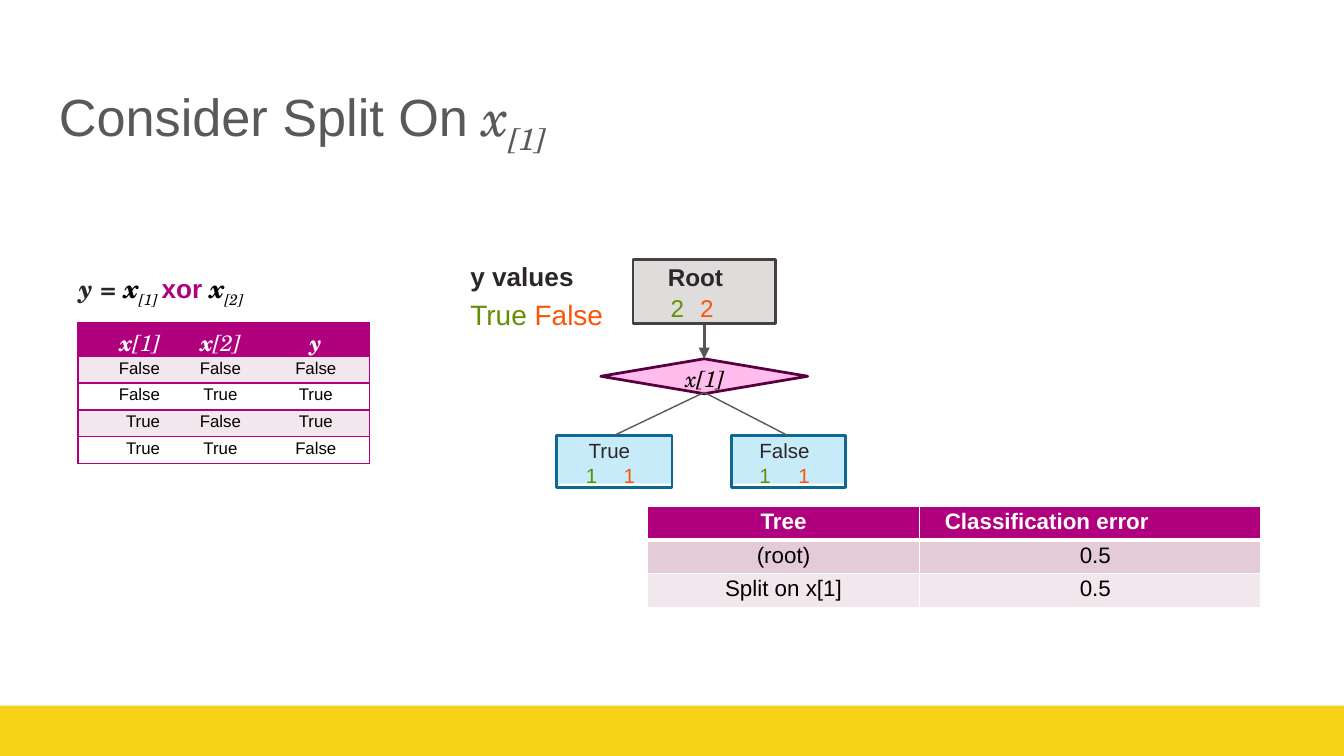
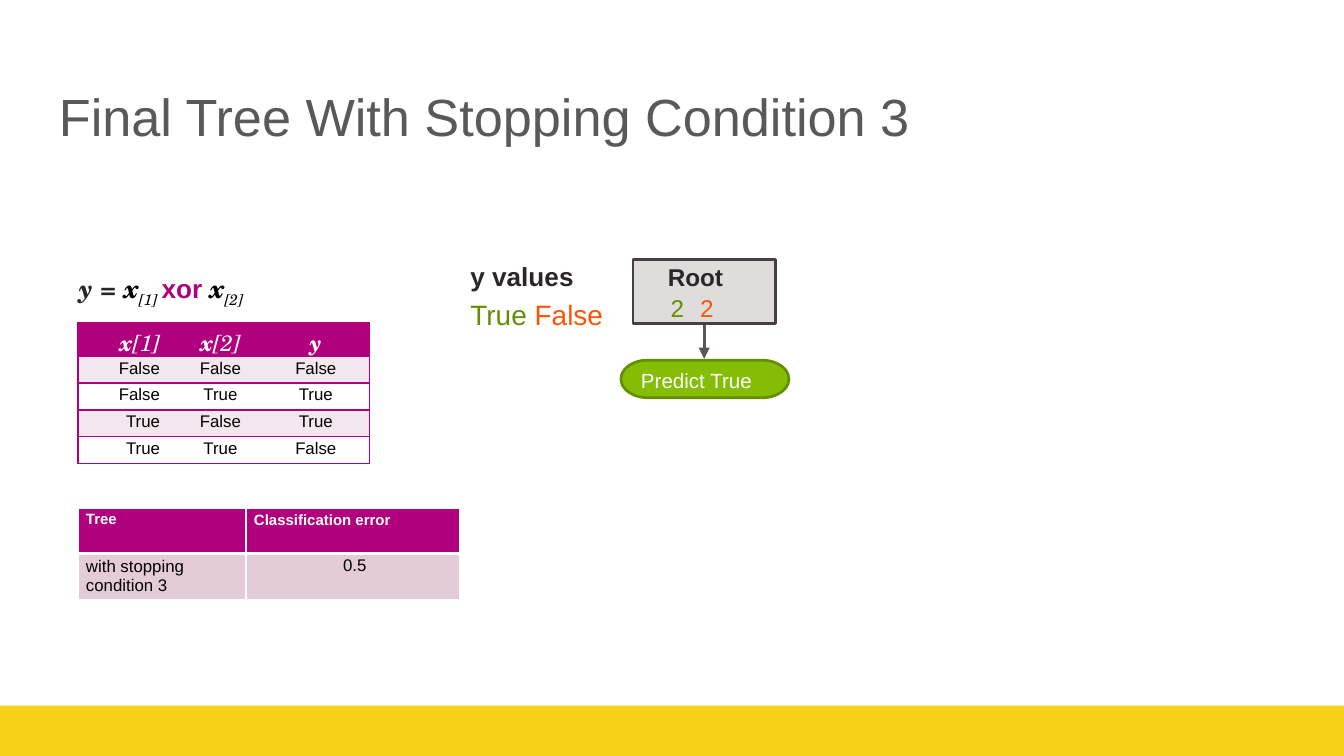
from dataclasses import dataclass

from lxml import etree
from pptx import Presentation
from pptx.dml.color import RGBColor
from pptx.enum.shapes import MSO_CONNECTOR, MSO_SHAPE
from pptx.enum.text import MSO_ANCHOR, PP_ALIGN
from pptx.oxml.ns import qn
from pptx.util import Inches, Pt

RECT, DIAMOND, PILL = MSO_SHAPE.RECTANGLE, MSO_SHAPE.DIAMOND, MSO_SHAPE.FLOWCHART_TERMINATOR
STRAIGHT = MSO_CONNECTOR.STRAIGHT
TOP = MSO_ANCHOR.TOP
LEFT, CENTER, RIGHT = PP_ALIGN.LEFT, PP_ALIGN.CENTER, PP_ALIGN.RIGHT

SLIDE_W = Inches(10)
SLIDE_H = SLIDE_W * 9 // 16
SANS, MATH = "Arial", "TeX Gyre Schola"
COLORS = {
    "band": "F7D117", "title": "595959", "ink": "2B2728", "black": "000000",
    "white": "FFFFFF", "magenta": "B0007E", "row_dark": "E4CBD8", "row_light": "F2E7EC",
    "true": "648E04", "false": "FC5507", "root": "DFDCDC", "root_line": "464040",
    "leaf": "C8EBFA", "leaf_line": "0D6993", "split": "FFBCEC", "split_line": "58003F",
    "arrow": "5D5555", "predict": "85BD05",
}
NODE_LINE = 1.48
ROOT_X = 5.24


@dataclass
class Run:
    text: str
    size: float
    color: str = "ink"
    font: str = SANS
    bold: bool = False
    italic: bool = False
    sub: bool = False


@dataclass
class Line:
    runs: list
    indent: float = 0
    tab: float = 0
    align: PP_ALIGN = LEFT
    right: float = 0
    spacing: float = 1
    before: float = 0


def rgb(name):
    return RGBColor.from_string(COLORS[name])


def math_run(text, size, color="black", **style):
    return Run(text, size, color, MATH, italic=True, **style)


def write(frame, lines):
    for number, line in enumerate(lines):
        paragraph = frame.paragraphs[0] if number == 0 else frame.add_paragraph()
        properties = paragraph._p.get_or_add_pPr()
        if line.tab:
            properties.set("marL", "0")
            properties.set("indent", str(Inches(line.indent)))
            tabs = etree.SubElement(properties, qn("a:tabLst"))
            etree.SubElement(tabs, qn("a:tab"), pos=str(Inches(line.tab)), algn="l")
        else:
            properties.set("marL", str(Inches(line.indent)))
            properties.set("indent", "0")
        properties.set("marR", str(Inches(line.right)))
        paragraph.alignment = line.align
        if line.spacing != 1:
            paragraph.line_spacing = line.spacing
        if line.before:
            paragraph.space_before = Pt(line.before)
        for part in line.runs:
            run = paragraph.add_run()
            run.text = part.text
            run.font.name = part.font
            run.font.size = Pt(part.size)
            run.font.bold = part.bold
            run.font.italic = part.italic
            run.font.color.rgb = rgb(part.color)
            if part.sub:
                run._r.get_or_add_rPr().set("baseline", "-25000")


def fill_frame(frame, lines, insets):
    frame.word_wrap = True
    frame.vertical_anchor = TOP
    frame.margin_left, frame.margin_top, frame.margin_right, frame.margin_bottom = map(Inches, insets)
    write(frame, lines)


def add_text(slide, box, lines, insets=(0, 0.01, 0, 0)):
    fill_frame(slide.shapes.add_textbox(*map(Inches, box)).text_frame, lines, insets)


def add_node(slide, kind, box, fill=None, outline=None, lines=()):
    node = slide.shapes.add_shape(kind, *map(Inches, box))
    node.shadow.inherit = False
    if fill:
        node.fill.solid()
        node.fill.fore_color.rgb = rgb(fill)
    else:
        node.fill.background()
    if outline:
        node.line.color.rgb = rgb(outline)
        node.line.width = Pt(NODE_LINE)
    else:
        node.line.fill.background()
    if lines:
        fill_frame(node.text_frame, lines, (0, 0.02, 0, 0))
    return node


def add_edge(slide, start, end, color="title", width=0.75, arrow=False):
    edge = slide.shapes.add_connector(STRAIGHT, *map(Inches, (*start, *end)))
    edge.line.color.rgb = rgb(color)
    edge.line.width = Pt(width)
    if arrow:
        etree.SubElement(edge.line._get_or_add_ln(), qn("a:tailEnd"), type="triangle", w="med", len="med")
    etree.SubElement(edge._element.spPr, qn("a:effectLst"))


def set_borders(cell, borders):
    properties = cell._tc.get_or_add_tcPr()
    for side in "LRTB":
        color, width = borders.get(side, (None, 0))
        border = etree.SubElement(properties, qn(f"a:ln{side}"), w=str(Pt(width)))
        if color:
            paint = etree.SubElement(border, qn("a:solidFill"))
            etree.SubElement(paint, qn("a:srgbClr"), val=COLORS[color])
        else:
            etree.SubElement(border, qn("a:noFill"))


def add_grid(slide, corner, widths, heights, rows, fills, borders_at):
    size = (sum(widths), sum(heights))
    table = slide.shapes.add_table(len(rows), len(widths), *map(Inches, (*corner, *size))).table
    table.first_row = table.horz_banding = False
    for column, width in zip(table.columns, widths):
        column.width = Inches(width)
    for r, (height, lines, fill) in enumerate(zip(heights, rows, fills)):
        table.rows[r].height = Inches(height)
        for c, line in enumerate(lines):
            cell = table.cell(r, c)
            set_borders(cell, borders_at(r, c))
            if fill:
                cell.fill.solid()
                cell.fill.fore_color.rgb = rgb(fill)
            else:
                cell.fill.background()
            cell.margin_left = cell.margin_right = cell.margin_bottom = 0
            cell.margin_top = Inches(0.02)
            write(cell.text_frame, [line])


def add_truth_table(slide):
    edge = ("magenta", 0.75)
    layouts = [{"align": RIGHT, "right": 0.1}, {"align": CENTER}, {"align": CENTER, "right": 0.04}]
    headings = [("x", "[1]"), ("x", "[2]"), ("y", "")]
    header = []
    for (name, index), layout in zip(headings, layouts):
        runs = [math_run(name, 12, "white", bold=True)]
        if index:
            runs.append(math_run(index, 12, "white"))
        header.append(Line(runs, **layout))
    rows = [header]
    for first in (False, True):
        for second in (False, True):
            values = (first, second, first != second)
            rows.append([Line([Run(str(v), 9, "black")], **layout) for v, layout in zip(values, layouts)])

    def borders_at(r, c):
        sides = {"T": edge, "B": edge}
        if c == 0:
            sides["L"] = edge
        if c == len(layouts) - 1:
            sides["R"] = edge
        return sides

    add_grid(slide, (0.58, 2.4), (0.71, 0.7, 0.76), [0.25] + [0.2] * 4, rows,
             ["magenta"] + ["row_light", None] * 2, borders_at)


def add_error_table(slide, corner, widths, heights, rows):
    thin, thick = ("white", 0.75), ("white", 2.25)

    def borders_at(r, c):
        return {"L": thin, "R": thin, "T": thick if r == 1 else thin, "B": thick if r == 0 else thin}

    add_grid(slide, corner, widths, heights, rows, ["magenta", "row_dark", "row_light"], borders_at)


def counts_line(true_count, false_count, size, indent, tab, before=0):
    return Line([Run(f"{true_count}\t", size, "true"), Run(false_count, size, "false")],
                indent, tab, before=before)


def add_leaf(slide, left, width, label, label_indent, counts_indent):
    top = 3.24
    add_node(slide, RECT, (left, top, width, 0.36), "leaf")
    add_node(slide, RECT, (left, top, width, 0.39), outline="leaf_line", lines=[
        Line([Run(label, 11)], label_indent),
        counts_line("1", "1", 11, counts_indent, 0.64)])


def add_root(slide):
    add_edge(slide, (ROOT_X, 2.4), (ROOT_X, 2.67), "arrow", NODE_LINE, arrow=True)
    add_node(slide, RECT, (4.71, 1.93, 1.06, 0.48), "root", "root_line", [
        Line([Run("Root", 13, bold=True)], 0.26),
        counts_line("2", "2", 13, 0.28, 0.78, before=1)])


def start_slide(deck, title_runs):
    slide = deck.slides.add_slide(deck.slide_layouts[6])
    band_top = 5.25
    add_node(slide, RECT, (0, band_top, 10, SLIDE_H / Inches(1) - band_top), "band")
    add_text(slide, (0.34, 0.49, 9.32, 0.63), [Line(title_runs)], (0.1, 0.14, 0.1, 0.06))
    add_text(slide, (0.58, 2.02, 2.07, 0.25), [Line([
        math_run("y = ", 14, "ink", bold=True),
        math_run("x", 14, bold=True), math_run("[1] ", 14, sub=True),
        Run("xor ", 14, "magenta", bold=True),
        math_run("x", 14, bold=True), math_run("[2]", 14, sub=True)], 0.01)])
    add_truth_table(slide)
    add_text(slide, (3.49, 1.88, 1.13, 0.55), [
        Line([Run("y values", 14, bold=True)], 0.01, spacing=1.19),
        Line([Run("True ", 15, "true"), Run("False", 15, "false")], 0.01, spacing=1.19)])
    return slide


def build_split(deck):
    slide = start_slide(deck, [
        Run("Consider Split On ", 28, "title"),
        math_run("x", 28, "title"), math_run("[1]", 28, "title", sub=True)])
    add_leaf(slide, 4.14, 0.86, "True", 0.24, 0.22)
    add_leaf(slide, 5.44, 0.85, "False", 0.21, 0.21)
    add_node(slide, DIAMOND, (4.47, 2.67, 1.54, 0.26), "split", "split_line")
    add_text(slide, (5.09, 2.71, 0.31, 0.21), [Line([math_run("x[1]", 12)], 0.01)])
    add_root(slide)
    rows = [[Line([Run("Tree", 12, "white", bold=True)], align=CENTER),
             Line([Run("Classification error", 12, "white", bold=True)], 0.19)]]
    for tree in ("(root)", "Split on x[1]"):
        rows.append([Line([Run(tree, 12, "black")], align=CENTER),
                     Line([Run("0.5", 12, "black")], 0.08, align=CENTER)])
    add_error_table(slide, (4.82, 3.77), (2.02, 2.54), [0.25] * 3, rows)
    for leaf_x in (4.57, 5.86):
        add_edge(slide, (ROOT_X, 2.92), (leaf_x, 3.24))


def build_final(deck):
    slide = start_slide(deck, [Run("Final Tree With Stopping Condition 3", 28, "title")])
    rows = [[Line([Run("Tree", 8, "white", bold=True)], 0.06),
             Line([Run("Classification error", 8, "white", bold=True)], 0.06, spacing=1.07)],
            [Line([Run("with stopping condition 3", 9, "black")], 0.06, spacing=1.03),
             Line([Run("0.5", 9, "black")], 0.03, align=CENTER)]]
    add_error_table(slide, (0.58, 3.78), (1.25, 1.59), [0.34] * 2, rows)
    add_node(slide, PILL, (4.62, 2.68, 1.25, 0.28), "predict", "true")
    add_root(slide)
    add_text(slide, (4.76, 2.73, 0.96, 0.2), [Line([Run("Predict True", 11, "white")], 0.01)])


def main():
    deck = Presentation()
    deck.slide_width, deck.slide_height = SLIDE_W, SLIDE_H
    build_split(deck)
    build_final(deck)
    deck.save("out.pptx")


if __name__ == "__main__":
    main()
